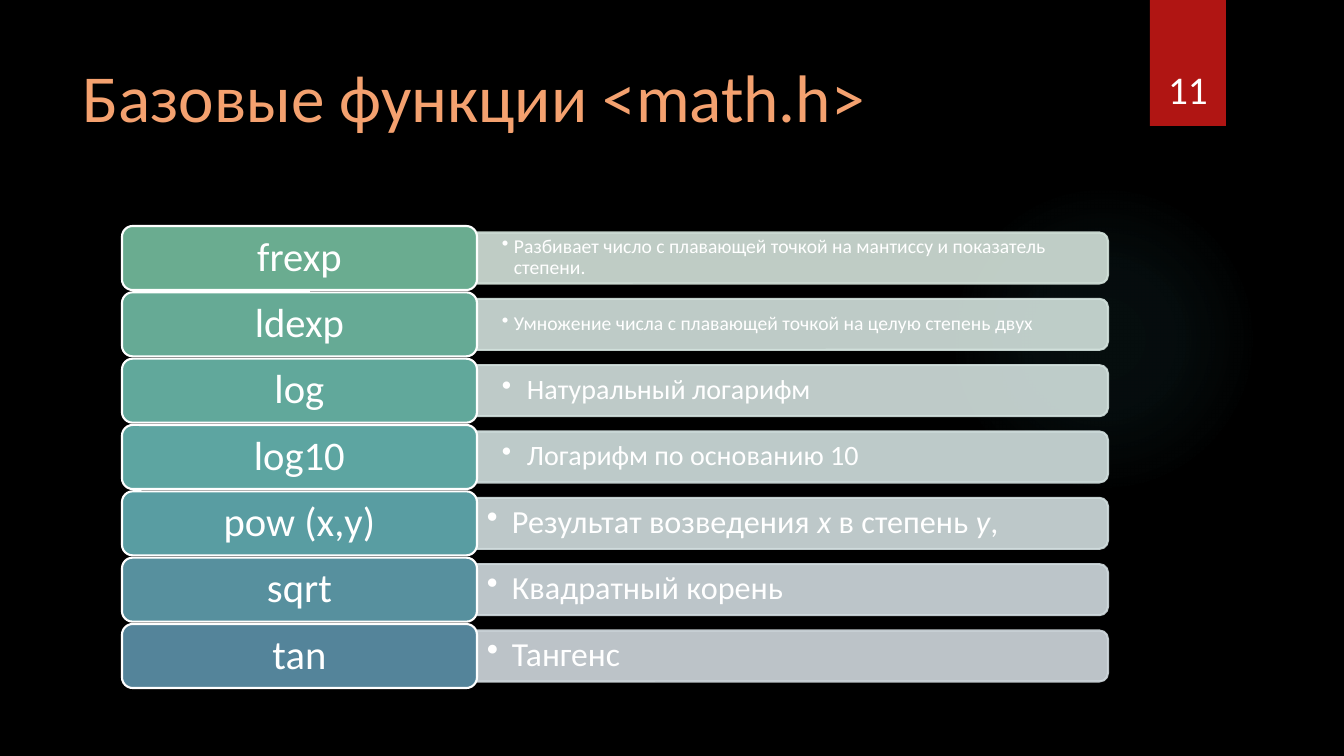
from lxml import etree
from pptx import Presentation
from pptx.dml.color import RGBColor
from pptx.enum.shapes import MSO_SHAPE as Shape
from pptx.enum.text import MSO_ANCHOR as Anchor, PP_ALIGN as Align
from pptx.oxml import parse_xml
from pptx.oxml.ns import nsdecls, qn
from pptx.util import Pt

PX = 914400 / 100.8
FONT = "Calibri"
WHITE = "FFFFFF"

# Function name, tab colour, bar colour, text size, side inset, indent, description
# (*...* marks italics)
FUNCTIONS = [
    ("frexp", "6AAC90", "D4E3DB", 14, 25, 12,
     "Разбивает число с плавающей точкой на мантиссу и показатель степени."),
    ("ldexp", "66AA95", "D3E2DD", 14, 25, 12,
     "Умножение числа с плавающей точкой на целую степень двух"),
    ("log", "61A89B", "D3E1DE", 20, 25, 25, "Натуральный логарифм"),
    ("log10", "5DA5A1", "D2E0DF", 20, 25, 25, "Логарифм по основанию 10"),
    ("pow (x,y)", "599DA2", "D2DEDF", 23, 10, 25,
     "Результат возведения *x* в степень *y*,"),
    ("sqrt", "57909E", "D1DBDF", 23, 10, 25, "Квадратный корень"),
    ("tan", "54849A", "D1D9DE", 24, 10, 25, "Тангенс"),
]


def px(length):
    return round(length * PX)


def color(hex_string):
    return RGBColor.from_string(hex_string)


def add_block(slide, kind, box, fill, line=None):
    block = slide.shapes.add_shape(kind, *map(px, box))
    block.shadow.inherit = False
    block.fill.solid()
    block.fill.fore_color.rgb = color(fill)
    if line:
        block.line.color.rgb = color(line)
        block.line.width = Pt(1.5)
    else:
        block.line.fill.background()
    return block


def set_opacity(block, percent):
    for rgb in block._element.spPr.iter(qn("a:srgbClr")):
        etree.SubElement(rgb, qn("a:alpha"), val=str(percent * 1000))


def set_insets(frame, side, edge):
    frame.margin_left = frame.margin_right = px(side)
    frame.margin_top = frame.margin_bottom = px(edge)


def format_text(frame, size, hex_string, align, anchor):
    frame.word_wrap = True
    frame.vertical_anchor = anchor
    for paragraph in frame.paragraphs:
        paragraph.alignment = align
        for run in paragraph.runs:
            run.font.name = FONT
            run.font.size = Pt(size)
            run.font.color.rgb = color(hex_string)


def add_bullet(paragraph, indent):
    properties = paragraph._p.get_or_add_pPr()
    properties.set("marL", str(px(indent)))
    properties.set("indent", str(-px(indent)))
    etree.SubElement(properties, qn("a:buChar"), char="•")


def draw_backdrop(slide, glow_box):
    slide.background.fill.solid()
    slide.background.fill.fore_color.rgb = color("000000")
    # Soft glow fading outwards
    glow = add_block(slide, Shape.OVAL, glow_box, "50B9C1")
    stops = "".join(
        f'<a:gs pos="{pos * 1000}"><a:srgbClr val="50B9C1">'
        f'<a:alpha val="{alpha * 1000}"/></a:srgbClr></a:gs>'
        for pos, alpha in ((0, 7), (36, 6), (69, 0), (100, 0)))
    gradient = parse_xml(
        f'<a:gradFill {nsdecls("a")}><a:gsLst>{stops}</a:gsLst><a:path path="circle">'
        '<a:fillToRect l="50000" t="50000" r="50000" b="50000"/></a:path></a:gradFill>')
    properties = glow._element.spPr
    properties.replace(properties.find(qn("a:solidFill")), gradient)


def draw_title(slide, box):
    title = slide.shapes.title
    title.left, title.top, title.width, title.height = map(px, box)
    title.text_frame.text = "Базовые функции <math.h>"
    format_text(title.text_frame, 48, "F4A16F", Align.LEFT, Anchor.TOP)


def draw_page_number(slide, box):
    left, top, width, height = box
    add_block(slide, Shape.RECTANGLE, box, "B01513")
    number = slide.shapes.add_textbox(
        px(left - 9), px(top + 32), px(width + 18), px(height - 41))
    number.text_frame.text = "11"
    format_text(number.text_frame, 28, WHITE, Align.CENTER, Anchor.BOTTOM)


def draw_description(slide, box, fill, size, side, indent, text):
    left, top, width, height = box
    # Upright bar turned on its side, so that its rounded end faces right
    upright = (left + (width - height) / 2, top + (height - width) / 2, height, width)
    bar = add_block(slide, Shape.ROUND_2_SAME_RECTANGLE, upright, fill, fill)
    bar.rotation = 90
    set_opacity(bar, 90)

    description = slide.shapes.add_textbox(
        px(left), px(top + 2), px(width - 2), px(height - 5))
    frame = description.text_frame
    set_insets(frame, side, side // 2)
    paragraph = frame.paragraphs[0]
    paragraph.level = 1
    paragraph.line_spacing = 0.9
    for index, part in enumerate(text.split("*")):
        run = paragraph.add_run()
        run.text = part
        run.font.italic = index % 2 == 1
    format_text(frame, size, WHITE, Align.LEFT, Anchor.MIDDLE)
    add_bullet(paragraph, indent)


def draw_function_list(slide, box):
    left, top, width, height = box
    tab_width, tab_height, bar_height = 355, 64, 51
    pitch = (height - tab_height) / (len(FUNCTIONS) - 1)
    for row, (name, tab_fill, *description) in enumerate(FUNCTIONS):
        row_top = top + row * pitch
        bar_box = (left + tab_width, row_top + (tab_height - bar_height) / 2,
                   width - tab_width, bar_height)
        draw_description(slide, bar_box, *description)
        tab = add_block(slide, Shape.ROUNDED_RECTANGLE,
                        (left, row_top, tab_width, tab_height), tab_fill, WHITE)
        tab.text_frame.text = name
        tab.text_frame.paragraphs[0].line_spacing = 0.9
        set_insets(tab.text_frame, 12, 6)
        format_text(tab.text_frame, 29, WHITE, Align.CENTER, Anchor.MIDDLE)


def main():
    deck = Presentation()
    deck.slide_width, deck.slide_height = px(1344), px(756)
    slide = deck.slides.add_slide(deck.slide_layouts.get_by_name("Title Only"))
    draw_backdrop(slide, (949, 184, 310, 310))
    draw_title(slide, (72, 50, 1037, 154))
    draw_function_list(slide, (122, 226, 986, 462))
    draw_page_number(slide, (1150, 0, 76, 126))
    deck.save("out.pptx")


if __name__ == "__main__":
    main()
